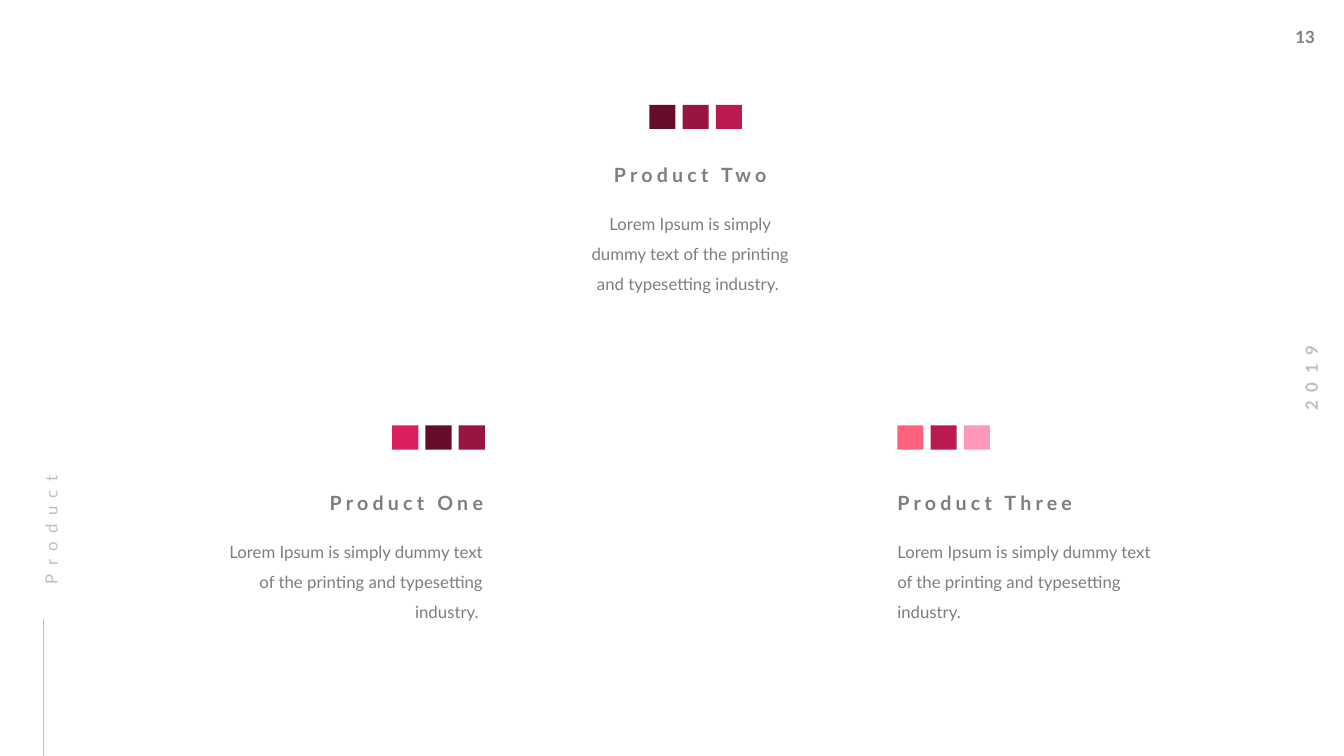
from lxml import etree
from pptx import Presentation
from pptx.dml.color import RGBColor
from pptx.enum.shapes import MSO_CONNECTOR, MSO_SHAPE
from pptx.enum.text import MSO_AUTO_SIZE, PP_ALIGN
from pptx.oxml.ns import qn
from pptx.util import Inches, Pt

GRAY = RGBColor(0x7E, 0x7E, 0x7E)
SILVER = RGBColor(0xBF, 0xBF, 0xBF)
WINE = RGBColor(0x65, 0x0C, 0x29)
BURGUNDY = RGBColor(0x98, 0x14, 0x41)
CRIMSON = RGBColor(0xBA, 0x1A, 0x51)
RASPBERRY = RGBColor(0xDC, 0x1E, 0x60)
CORAL = RGBColor(0xFF, 0x62, 0x7F)
PINK = RGBColor(0xFF, 0x97, 0xBB)

LEFT, CENTER, RIGHT = PP_ALIGN.LEFT, PP_ALIGN.CENTER, PP_ALIGN.RIGHT
SWATCH_WIDTH, SWATCH_HEIGHT, SWATCH_STEP = 0.26, 0.24, 0.33
BODY = "Lorem Ipsum is simply dummy text of the printing and typesetting industry."

presentation = Presentation()
presentation.slide_width = Inches(13.33)
presentation.slide_height = Inches(7.5)
slide = presentation.slides.add_slide(presentation.slide_layouts[6])


def add_text(text, left, top, width, height, color=GRAY, size=12, bold=False,
             spacing=0, align=LEFT, line_spacing=None, block=False, wrap=True,
             rotation=0):
    box = slide.shapes.add_textbox(Inches(left), Inches(top), Inches(width), Inches(height))
    box.rotation = rotation
    frame = box.text_frame
    frame.word_wrap = wrap
    frame.auto_size = MSO_AUTO_SIZE.SHAPE_TO_FIT_TEXT
    paragraph = frame.paragraphs[0]
    paragraph.alignment = align
    if line_spacing:
        paragraph.line_spacing = line_spacing
    if block:
        frame.margin_left = frame.margin_top = frame.margin_bottom = 0
        paragraph.space_before = Pt(12)
    run = paragraph.add_run()
    run.text = text
    run.font.name = "Lato"
    run.font.size = Pt(size)
    run.font.bold = bold
    run.font.color.rgb = color
    if spacing:
        run.font._element.set("spc", str(spacing * 100))


add_text("13", 12.75, 0.22, 0.41, 0.3, bold=True, wrap=False)
add_text("2019", 12.54, 3.6, 0.93, 0.3, color=SILVER, bold=True, spacing=6,
         align=CENTER, wrap=False, rotation=270)
add_text("Product", -0.49, 4.74, 1.85, 0.26, color=SILVER, spacing=6,
         line_spacing=1.5, block=True, rotation=270)

side_line = slide.shapes.add_connector(
    MSO_CONNECTOR.STRAIGHT, Inches(0.43), Inches(7.5), Inches(0.43), Inches(6.14))
side_line.line.color.rgb = SILVER
side_line.line.width = Pt(0.5)
etree.SubElement(side_line._element.spPr, qn("a:effectLst"))

products = [
    ("Product One", BODY + " ", RIGHT, (2.54, 4.87), (2.26, 5.27, 2.63),
     (3.89, 4.22), (RASPBERRY, WINE, BURGUNDY)),
    ("Product Two", BODY + " ", CENTER, (5.72, 1.62), (5.81, 2.02, 2.17),
     (6.44, 1.04), (WINE, BURGUNDY, CRIMSON)),
    ("Product Three", BODY, LEFT, (8.9, 4.87), (8.9, 5.27, 2.63),
     (8.9, 4.22), (CORAL, CRIMSON, PINK)),
]
for title, body, align, title_at, body_at, swatch_at, colors in products:
    add_text(body, *body_at, 0.87, align=align, line_spacing=1.5, block=True)
    add_text(title, *title_at, 2.35, 0.24, size=14, bold=True, spacing=3,
             align=align, block=True)
    swatch_left, swatch_top = swatch_at
    for index, color in enumerate(colors):
        swatch = slide.shapes.add_shape(
            MSO_SHAPE.RECTANGLE, Inches(swatch_left + index * SWATCH_STEP),
            Inches(swatch_top), Inches(SWATCH_WIDTH), Inches(SWATCH_HEIGHT))
        swatch.shadow.inherit = False
        swatch.fill.solid()
        swatch.fill.fore_color.rgb = color
        swatch.line.fill.background()

presentation.save("out.pptx")
